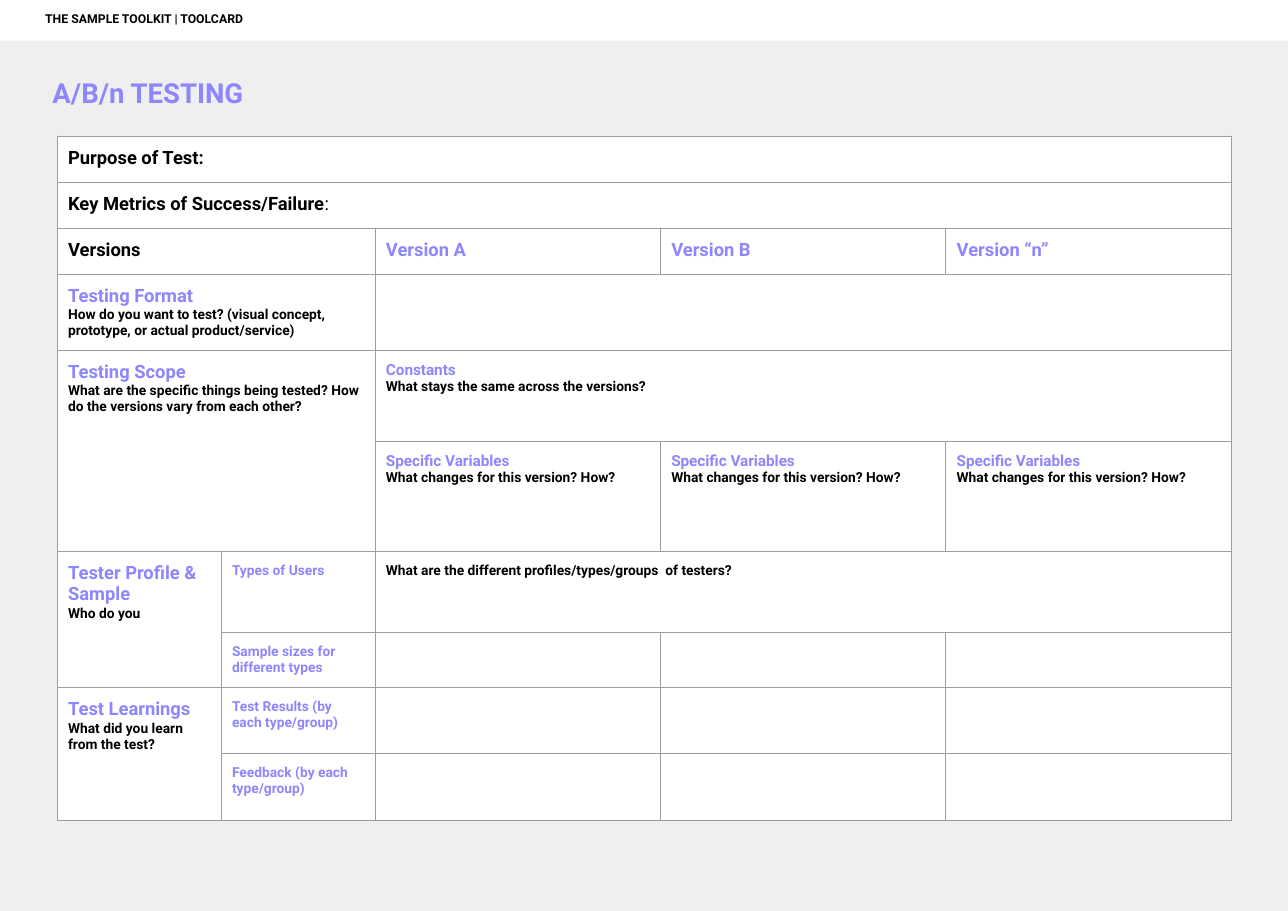
from lxml.etree import SubElement
from pptx import Presentation
from pptx.dml.color import RGBColor
from pptx.enum.shapes import MSO_SHAPE
from pptx.enum.text import MSO_ANCHOR, MSO_AUTO_SIZE, PP_ALIGN
from pptx.oxml.ns import qn
from pptx.util import Cm, Pt

FONT = "Roboto"
PURPLE = RGBColor(0x8D, 0x86, 0xFC)
BLACK = RGBColor(0, 0, 0)
WHITE = RGBColor(0xFF, 0xFF, 0xFF)
GREY = RGBColor(0xEF, 0xEF, 0xEF)
RULE = RGBColor(0x9E, 0x9E, 0x9E)

INSET = Cm(0.25)
WIDTHS = [3.78, 3.55, 6.58, 6.58, 6.58]
HEIGHTS = [1.06, 1.06, 1.06, 1.75, 2.1, 2.54, 1.87, 1.24, 1.52, 1.54]

SPANS = [
    (0, 0, 0, 4), (1, 0, 1, 4), (2, 0, 2, 1), (3, 0, 3, 1), (3, 2, 3, 4),
    (4, 0, 5, 1), (4, 2, 4, 4), (6, 0, 7, 0), (6, 2, 6, 4), (8, 0, 9, 0),
]


def head(text, size=12):
    return text, size, PURPLE


def label(text, size=12):
    return text, size, BLACK


def ask(text):
    return label(text, 9)


VARIED = [head("Specific Variables", 10), ask("What changes for this version? How?")]
TEXTS = {
    (0, 0): [label("Purpose of Test:")],
    (1, 0): [label("Key Metrics of Success/Failure")],
    (2, 0): [label("Versions")],
    (2, 2): [head("Version A")],
    (2, 3): [head("Version B")],
    (2, 4): [head("Version “n”")],
    (3, 0): [
        head("Testing Format"),
        ask("How do you want to test? (visual concept, prototype, or actual product/service)"),
    ],
    (4, 0): [
        head("Testing Scope"),
        ask("What are the specific things being tested? How do the versions vary from each other?"),
    ],
    (4, 2): [head("Constants", 10), ask("What stays the same across the versions?")],
    (5, 2): VARIED,
    (5, 3): VARIED,
    (5, 4): VARIED,
    (6, 0): [head("Tester Profile & Sample"), ask("Who do you")],
    (6, 1): [head("Types of Users", 9)],
    (6, 2): [ask("What are the different profiles/types/groups  of testers?")],
    (7, 1): [head("Sample sizes for different types", 9)],
    (8, 0): [head("Test Learnings"), ask("What did you learn from the test?")],
    (8, 1): [head("Test Results (by each type/group)", 9)],
    (9, 1): [head("Feedback (by each type/group)", 9)],
}


def style(para, size, colour):
    font = para.font
    font.name, font.size, font.bold = FONT, Pt(size), True
    font.color.rgb = colour
    para.alignment = PP_ALIGN.LEFT


def write(frame, lines):
    for i, (text, size, colour) in enumerate(lines):
        para = frame.add_paragraph() if i else frame.paragraphs[0]
        para.add_run().text = text
        style(para, size, colour)


def pad(item, left=INSET):
    item.margin_left = left
    item.margin_top = item.margin_right = item.margin_bottom = INSET


def border(cell):
    props = cell._tc.get_or_add_tcPr()
    for side in ("lnL", "lnR", "lnT", "lnB"):
        line = SubElement(props, qn(f"a:{side}"), w=str(Pt(0.75)))
        fill = SubElement(line, qn("a:solidFill"))
        SubElement(fill, qn("a:srgbClr"), val=str(RULE))


def title(slide):
    shape = slide.shapes.title
    shape.left, shape.top = Cm(0), Cm(1.5)
    shape.width, shape.height = Cm(16.87), Cm(1.9)
    frame = shape.text_frame
    frame.auto_size = MSO_AUTO_SIZE.NONE
    frame.vertical_anchor = MSO_ANCHOR.TOP
    pad(frame, Cm(1.21))
    write(frame, [head("A/B/n TESTING", 18)])


def grid(slide):
    frame = slide.shapes.add_table(
        len(HEIGHTS), len(WIDTHS), Cm(1.32), Cm(3.14), Cm(sum(WIDTHS)), Cm(sum(HEIGHTS)))
    table = frame.table
    table.first_row = table.horz_banding = False
    for col, width in zip(table.columns, WIDTHS):
        col.width = Cm(width)
    for row, height in zip(table.rows, HEIGHTS):
        row.height = Cm(height)
    for cell in table.iter_cells():
        pad(cell)
        border(cell)
        cell.fill.solid()
        cell.fill.fore_color.rgb = WHITE
    for top, left, low, right in SPANS:
        table.cell(top, left).merge(table.cell(low, right))
    for (row, col), lines in TEXTS.items():
        write(table.cell(row, col).text_frame, lines)
    colon = table.cell(1, 0).text_frame.paragraphs[0].add_run()
    colon.text = ":"
    colon.font.bold = False


def banner(slide):
    bar = slide.shapes.add_shape(MSO_SHAPE.RECTANGLE, Cm(0), Cm(0), Cm(29.7), Cm(0.94))
    bar.shadow.inherit = False
    bar.fill.solid()
    bar.fill.fore_color.rgb = WHITE
    bar.line.fill.background()
    frame = bar.text_frame
    frame.word_wrap = True
    frame.vertical_anchor = MSO_ANCHOR.TOP
    pad(frame, Cm(1.04))
    write(frame, [label("THE SAMPLE TOOLKIT | TOOLCARD", 8)])


def main():
    deck = Presentation()
    deck.slide_width, deck.slide_height = Cm(29.7), Cm(21)
    slide = deck.slides.add_slide(deck.slide_layouts[5])
    slide.background.fill.solid()
    slide.background.fill.fore_color.rgb = GREY
    title(slide)
    grid(slide)
    banner(slide)
    deck.save("out.pptx")


if __name__ == "__main__":
    main()
